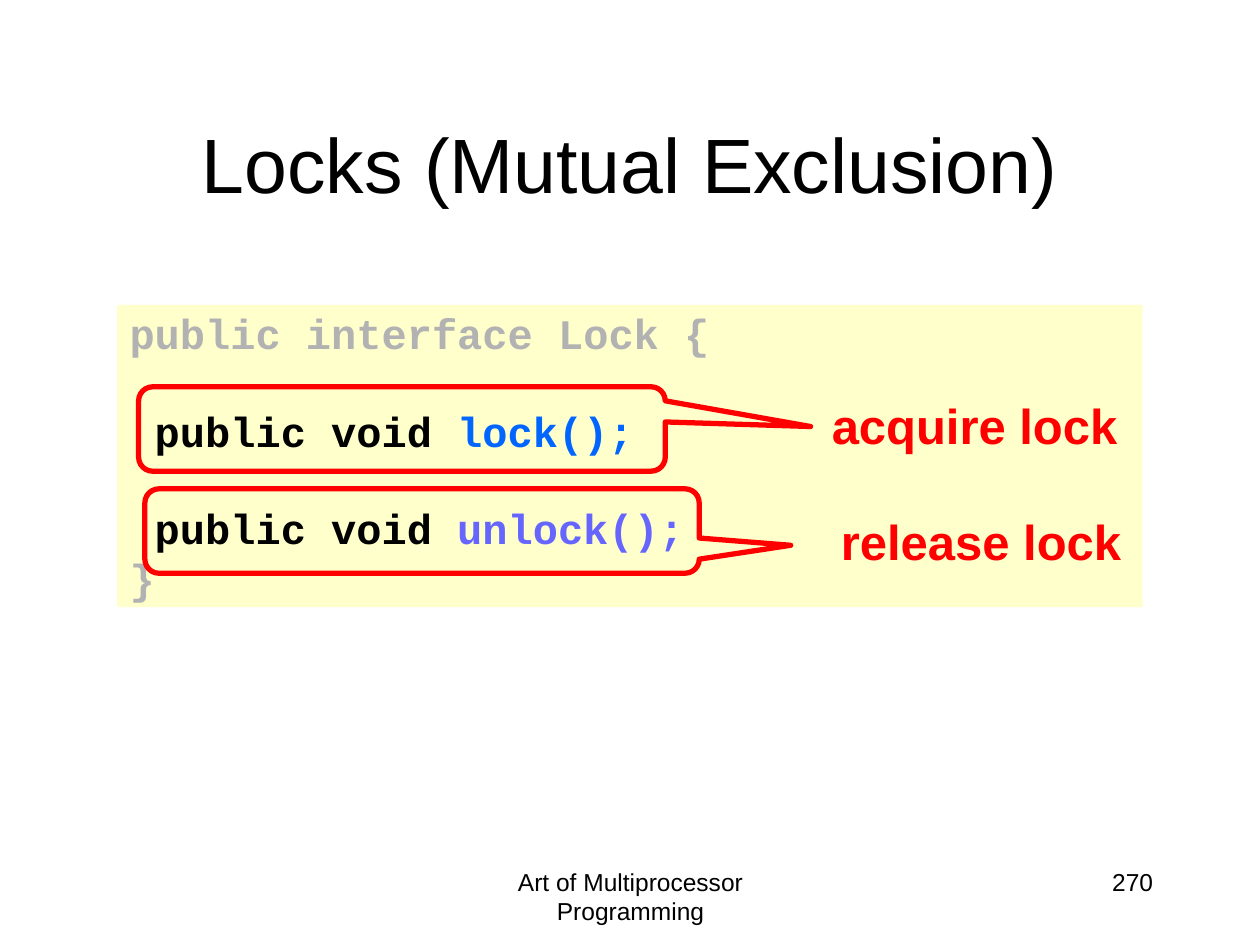
"""Build the slide on locks and mutual exclusion."""
import dataclasses
import pptx
import pptx.util
import pptx.dml.color
import pptx.enum.shapes
import pptx.enum.text

Inches, Pt = pptx.util.Inches, pptx.util.Pt
Align = pptx.enum.text.PP_ALIGN
Anchor = pptx.enum.text.MSO_ANCHOR
Shape = pptx.enum.shapes.MSO_SHAPE


@dataclasses.dataclass(frozen=True)
class Theme:
    sans: str = "Arial"
    mono: str = "Courier New"
    black: str = "000000"
    gray: str = "B2B2B2"
    blue: str = "0066FF"
    violet: str = "6666FF"
    red: str = "FF0000"
    cream: str = "FFFFCC"
    title: int = 44
    label: int = 28
    code: int = 24
    foot: int = 14


theme = Theme()


def style(run, face, size, color, bold=False):
    run.font.name = face
    run.font.size = Pt(size)
    run.font.bold = bold
    run.font.color.rgb = pptx.dml.color.RGBColor.from_string(color)


def write(shape, text, align, size, color, bold=False):
    frame = shape.text_frame
    frame.word_wrap = True
    frame.text = text
    para = frame.paragraphs[0]
    para.alignment = align
    style(para.runs[0], theme.sans, size, color, bold)


deck = pptx.Presentation()
deck.slide_width, deck.slide_height = Inches(10), Inches(7.5)
slide = deck.slides.add_slide(deck.slide_layouts[5])
shapes = slide.shapes

title = shapes.title
title.left, title.top = Inches(0.75), Inches(0.67)
title.width, title.height = Inches(8.5), Inches(1.25)
write(title, "Locks (Mutual Exclusion)", Align.CENTER, theme.title, theme.black)
title.text_frame.vertical_anchor = Anchor.MIDDLE

for text, left, width, align in (
    ("Art of Multiprocessor Programming", 3.42, 3.17, Align.CENTER),
    ("270", 7.17, 2.08, Align.RIGHT),
):
    box = shapes.add_textbox(Inches(left), Inches(6.83), Inches(width), Inches(0.5))
    write(box, text, align, theme.foot, theme.black)

panel = shapes.add_shape(
    Shape.RECTANGLE, Inches(0.93), Inches(2.42), Inches(8.14), Inches(2.4)
)
panel.shadow.inherit = False
panel.fill.solid()
panel.fill.fore_color.rgb = pptx.dml.color.RGBColor.from_string(theme.cream)
panel.line.fill.background()
frame = panel.text_frame
frame.word_wrap = True
frame.vertical_anchor = Anchor.TOP
frame.margin_top = Inches(0.13)

near, far = 8.3, 35.7
code = (
    (0, (("public interface Lock {", theme.gray),)),
    (far, ((" public void ", theme.black), ("lock();", theme.blue))),
    (far, ((" public void ", theme.black), ("unlock();", theme.violet))),
    (near, (("}", theme.gray),)),
)
for row, (gap, parts) in enumerate(code):
    para = frame.add_paragraph() if row else frame.paragraphs[0]
    para.alignment = Align.LEFT
    para.line_spacing = 0.7
    para.space_before = Pt(gap)
    for text, color in parts:
        run = para.add_run()
        run.text = text
        style(run, theme.mono, theme.code, color, True)

notes = (
    ("release lock", (1.15, 3.88, 4.4), (0.665, 0.169), (6.49, 4.01, 2.59)),
    ("acquire lock", (1.1, 3.07, 4.18), (0.776, -0.029), (6.4, 3.09, 2.67)),
)
for text, frame_at, tip, label_at in notes:
    left, top, width = map(Inches, frame_at)
    call = shapes.add_shape(
        Shape.ROUNDED_RECTANGULAR_CALLOUT, left, top, width, Inches(0.67)
    )
    call.adjustments[0], call.adjustments[1] = tip
    call.adjustments[2] = 0.167
    call.shadow.inherit = False
    call.fill.background()
    call.line.color.rgb = pptx.dml.color.RGBColor.from_string(theme.red)
    call.line.width = Pt(3)

    left, top, width = map(Inches, label_at)
    label = shapes.add_textbox(left, top, width, Inches(0.57))
    write(label, text, Align.CENTER, theme.label, theme.red, True)

deck.save("out.pptx")
